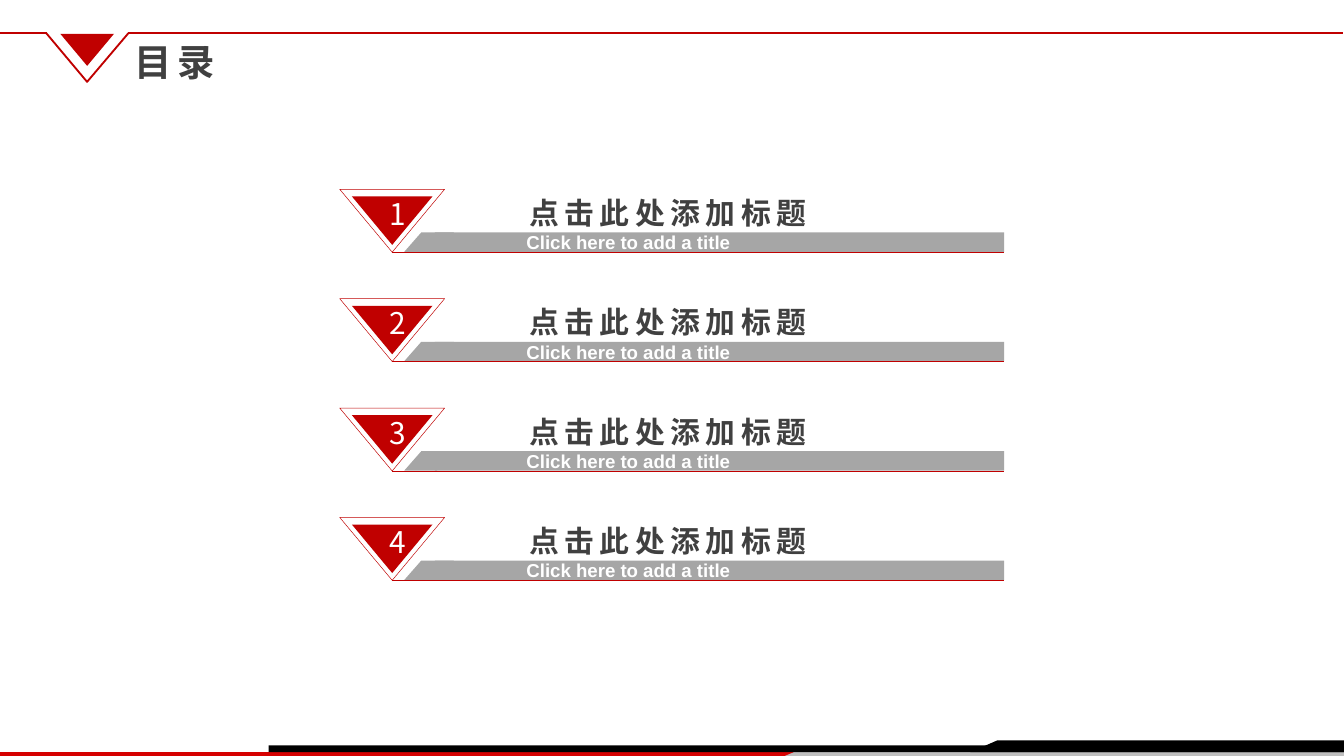
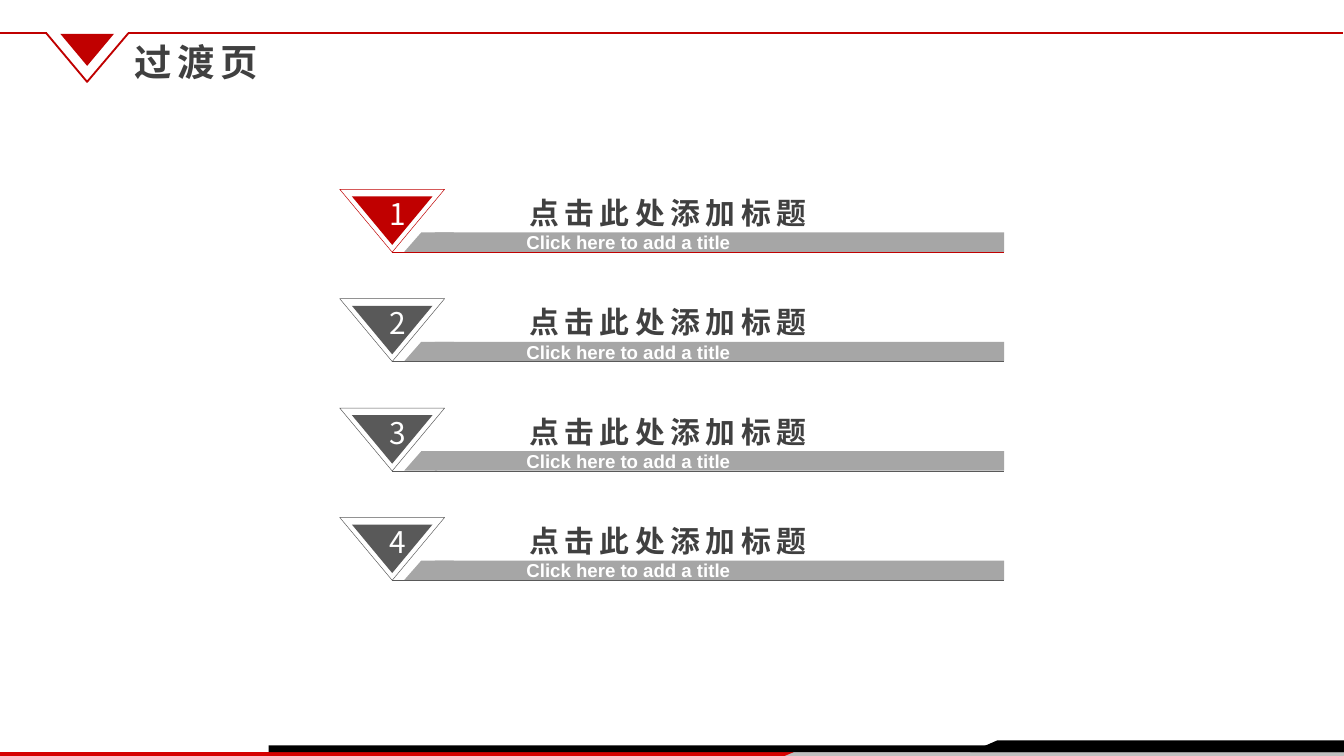
from lxml.etree import SubElement
from pptx import Presentation
from pptx.dml.color import RGBColor
from pptx.enum.shapes import MSO_CONNECTOR, MSO_SHAPE
from pptx.enum.text import MSO_AUTO_SIZE, PP_ALIGN
from pptx.oxml.ns import qn
from pptx.util import Pt

RED = RGBColor(0xC0, 0x00, 0x00)
BAND_RED = RGBColor(0xD6, 0x00, 0x00)
BAND_GRAY = RGBColor(0xBF, 0xBF, 0xBF)
BLACK = RGBColor(0x00, 0x00, 0x00)
WHITE = RGBColor(0xFF, 0xFF, 0xFF)
DARK = RGBColor(0x40, 0x40, 0x40)
MUTED = RGBColor(0x59, 0x59, 0x59)
BAR = RGBColor(0xA6, 0xA6, 0xA6)

CJK = "Noto Sans CJK SC"
HEADING = dict(size=Pt(20), name=CJK, bold=True)
ENTRY = dict(size=Pt(16), name=CJK, bold=True)
NUMBER = dict(size=Pt(16), name=CJK)
SUBTITLE = dict(size=Pt(10), name="Arial", bold=True)

ROW_TOP, ROW_PITCH = 101.2, 58.6
RULE_Y = 17.7
BANDS = [
    (BAND_RED, [(-0.7, 403), (430.6, 403), (421.2, 406.6), (-0.7, 406.6)]),
    (BAND_GRAY, [(426.2, 402.6), (720, 402.6), (720, 406.2), (417.6, 406.2)]),
    (BLACK, [(534.2, 396.7), (720, 396.7), (720, 403), (519.8, 403)]),
]
SLIDES = [
    ("目录", 76.3, [RED] * 4),
    ("过渡页", 96.5, [RED] + [MUTED] * 3),
]


class Deck:
    def __init__(self):
        self.prs = Presentation()
        self.prs.slide_width, self.prs.slide_height = Pt(720), Pt(405)
        self.s = None

    def paint(self, sp, fill=None, line=None, width=1):
        sp.shadow.inherit = False
        if fill is None:
            sp.fill.background()
        else:
            sp.fill.solid()
            sp.fill.fore_color.rgb = fill
        if line is None:
            sp.line.fill.background()
        else:
            sp.line.color.rgb = line
            sp.line.width = Pt(width)

    def shape(self, kind, x, y, w, h, rotation=0, **style):
        sp = self.s.shapes.add_shape(kind, Pt(x), Pt(y), Pt(w), Pt(h))
        sp.rotation = rotation
        self.paint(sp, **style)
        return sp

    def triangle(self, x, y, w, h, **style):
        return self.shape(MSO_SHAPE.ISOSCELES_TRIANGLE, x, y, w, h, 180, **style)

    def outline(self, points, close=True, **style):
        (x, y), *rest = [(Pt(px), Pt(py)) for px, py in points]
        builder = self.s.shapes.build_freeform(x, y)
        builder.add_line_segments(rest, close=close)
        self.paint(builder.convert_to_shape(), **style)

    def rule(self, x1, x2, y, color, width):
        c = self.s.shapes.add_connector(
            MSO_CONNECTOR.STRAIGHT, Pt(x1), Pt(y), Pt(x2), Pt(y))
        c.line.color.rgb = color
        c.line.width = Pt(width)
        SubElement(c._element.spPr, qn("a:effectLst"))

    def text(self, text, x, y, w, h, style, color, spacing=0, align=PP_ALIGN.LEFT):
        tf = self.s.shapes.add_textbox(Pt(x), Pt(y), Pt(w), Pt(h)).text_frame
        tf.word_wrap = True
        tf.auto_size = MSO_AUTO_SIZE.SHAPE_TO_FIT_TEXT
        p = tf.paragraphs[0]
        p.alignment = align
        r = p.add_run()
        r.text = text
        for key, value in style.items():
            setattr(r.font, key, value)
        r.font.color.rgb = color
        rPr = r._r.get_or_add_rPr()
        rPr.set("spc", str(spacing * 100))
        SubElement(rPr, qn("a:ea")).set("typeface", style["name"])

    def new_slide(self, title, width):
        self.s = self.prs.slides.add_slide(self.prs.slide_layouts[6])
        for color, points in BANDS:
            self.outline(points, fill=color)
        self.shape(MSO_SHAPE.RECTANGLE, 144, 399.3, 576, 3.7, fill=BLACK)
        self.rule(-0.7, 25, RULE_Y, RED, 1)
        self.rule(68.6, 719.5, RULE_Y, RED, 1)
        self.outline([(24.7, RULE_Y), (46.7, 43.9), (68.9, RULE_Y)],
                     close=False, line=RED)
        self.triangle(32.3, 18.1, 28.8, 17.2, fill=RED)
        self.text(title, 64.9, 17.2, width, 31.5, HEADING, DARK, spacing=3)

    def entry(self, index, color):
        y = ROW_TOP + index * ROW_PITCH
        slant = self.shape(MSO_SHAPE.PARALLELOGRAM, 216.6, y + 23.3, 26.6, 10.4, fill=BAR)
        slant.adjustments[0] = 0.88
        self.shape(MSO_SHAPE.RECTANGLE, 233, y + 23.3, 305, 10.4, fill=BAR)
        self.triangle(188.5, y + 4, 43.2, 26, fill=color)
        self.triangle(182, y + 0.2, 56.2, 33.7, line=color, width=0.25)
        self.text(str(index + 1), 195.8, y + 0.1, 28.8, 26.6, NUMBER, WHITE,
                  spacing=6, align=PP_ALIGN.RIGHT)
        self.rule(210.1, 538, y + 33.9, color, 0.25)
        self.text("点击此处添加标题", 276.4, y - 0.5, 175.7, 26.6, ENTRY, DARK, spacing=3)
        self.text("Click here to add a title", 275, y + 19, 144, 19.4, SUBTITLE, WHITE)


def main():
    deck = Deck()
    for title, width, colors in SLIDES:
        deck.new_slide(title, width)
        for index, color in enumerate(colors):
            deck.entry(index, color)
    deck.prs.save("out.pptx")


if __name__ == "__main__":
    main()
